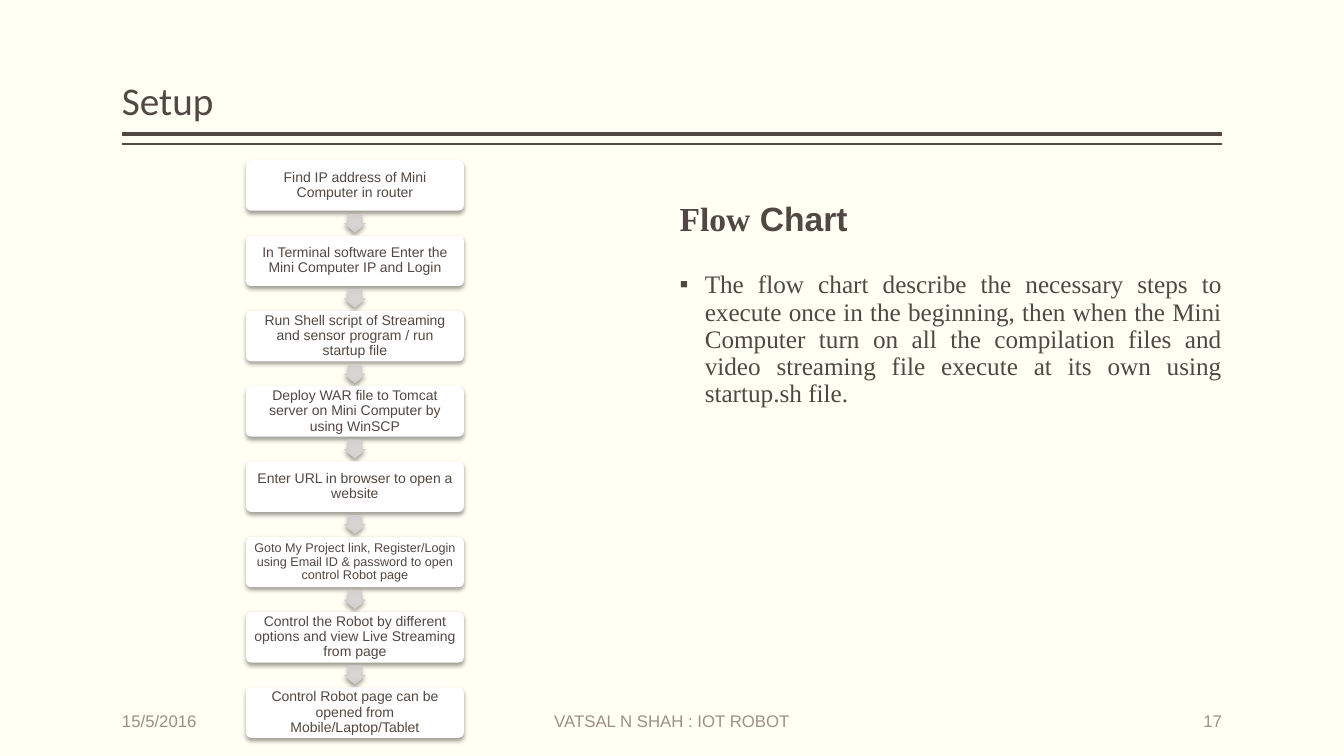
from lxml import etree
from pptx import Presentation
from pptx.dml.color import RGBColor
from pptx.enum.shapes import MSO_CONNECTOR, MSO_SHAPE
from pptx.enum.text import MSO_ANCHOR, PP_ALIGN
from pptx.oxml.ns import qn
from pptx.util import Inches, Pt

ROUNDED, ARROW = MSO_SHAPE.ROUNDED_RECTANGLE, MSO_SHAPE.RIGHT_ARROW
STRAIGHT = MSO_CONNECTOR.STRAIGHT
TOP, MIDDLE, BOTTOM = MSO_ANCHOR.TOP, MSO_ANCHOR.MIDDLE, MSO_ANCHOR.BOTTOM
LEFT, CENTER, RIGHT, JUSTIFY = PP_ALIGN.LEFT, PP_ALIGN.CENTER, PP_ALIGN.RIGHT, PP_ALIGN.JUSTIFY

W, H = 13.33, 7.5
MARGIN = 1.21
CONTENT_W = W - 2 * MARGIN
INK, MUTED, PAPER, WHITE = "514843", "9D8F88", "FFFFF3", "FFFFFF"
ARROW_STOPS = ("D8D6D5", "D1CECC")

STEPS = [
    ("Find IP address of Mini Computer in router", 10),
    ("In Terminal software Enter the Mini Computer IP and Login", 10),
    ("Run Shell script of Streaming and sensor program / run startup file", 10),
    ("Deploy WAR file to Tomcat server on Mini Computer by using WinSCP", 10),
    ("Enter URL in browser to open a website", 10),
    ("Goto My Project link, Register/Login using Email ID & password to open control Robot page", 9),
    ("Control the Robot by different options and view Live Streaming from page", 10),
    ("Control Robot page can be opened from Mobile/Laptop/Tablet", 10),
]
DESCRIPTION = (
    "The flow chart describe the necessary steps to execute once in the beginning, "
    "then when the Mini Computer turn on all the compilation files and video streaming "
    "file execute at its own using startup.sh file."
)


def color(value):
    return RGBColor.from_string(value)


def style_run(r, size, font="Arial", ink=INK, bold=False):
    r.font.size, r.font.name, r.font.bold = Pt(size), font, bold
    r.font.color.rgb = color(ink)


def set_frame(tf, anchor, side, edge):
    tf.word_wrap, tf.vertical_anchor = True, anchor
    tf.margin_left = tf.margin_right = Inches(side)
    tf.margin_top = tf.margin_bottom = Inches(edge)


def add_text(s, box, text, size, font="Arial", ink=INK, anchor=MIDDLE, align=LEFT, spacing=1.0):
    tf = s.shapes.add_textbox(*map(Inches, box)).text_frame
    set_frame(tf, anchor, 0, 0.05)
    p = tf.paragraphs[0]
    p.text, p.alignment, p.line_spacing = text, align, spacing
    style_run(p.runs[0], size, font, ink)
    return p


def add_shadowed(s, kind, box):
    sp = s.shapes.add_shape(kind, *map(Inches, box))
    sp.line.fill.background()
    sp.shadow.inherit = False
    effects = sp._element.spPr.find(qn("a:effectLst"))
    shadow = etree.SubElement(effects, qn("a:outerShdw"), blurRad=str(Pt(3.5)),
                              dist=str(Pt(2)), dir="5400000", rotWithShape="0")
    tint = etree.SubElement(shadow, qn("a:srgbClr"), val="000000")
    etree.SubElement(tint, qn("a:alpha"), val="38000")
    return sp


def add_step(s, box, text, size):
    sp = add_shadowed(s, ROUNDED, box)
    sp.adjustments[0] = 0.1
    sp.fill.solid()
    sp.fill.fore_color.rgb = color(WHITE)
    tf = sp.text_frame
    set_frame(tf, MIDDLE, 0.06, 0.03)
    p = tf.paragraphs[0]
    p.text, p.alignment, p.line_spacing = text, CENTER, 0.9
    style_run(p.runs[0], size)


def add_step_arrow(s, box):
    sp = add_shadowed(s, ARROW, box)
    sp.rotation = 90
    sp.adjustments[0], sp.adjustments[1] = 0.6, 0.5
    sp.fill.gradient()
    for stop, value in zip(sp.fill.gradient_stops, ARROW_STOPS):
        stop.color.rgb = color(value)
    gradient = sp._element.spPr.find(qn("a:gradFill"))
    gradient.remove(gradient.find(qn("a:lin")))
    center = etree.SubElement(gradient, qn("a:path"), path="rect")
    etree.SubElement(center, qn("a:fillToRect"), l="50000", t="50000", r="50000", b="50000")


def add_flow_chart(s, box):
    x, y, w, h = box
    step_h, arrow_w, arrow_h = 0.5, 0.19, 0.22
    pitch = (h - step_h) / (len(STEPS) - 1)
    for i, (text, size) in enumerate(STEPS):
        top = y + i * pitch
        add_step(s, (x, top, w, step_h), text, size)
        if i < len(STEPS) - 1:
            gap_mid = top + (step_h + pitch) / 2
            add_step_arrow(s, (x + (w - arrow_w) / 2, gap_mid - arrow_h / 2, arrow_w, arrow_h))


def add_header(s, box):
    x, y, w, h = box
    add_text(s, box, "Setup", 28, "Calibri", anchor=BOTTOM, spacing=0.9)
    for offset, weight in ((0.05, 3), (0.15, 1)):
        line_y = Inches(y + h + offset)
        rule = s.shapes.add_connector(STRAIGHT, Inches(x), line_y, Inches(x + w), line_y)
        rule.line.color.rgb, rule.line.width = color(INK), Pt(weight)
        etree.SubElement(rule._element.spPr, qn("a:effectLst"))


def add_description(s, box):
    x, y, w, h = box
    head_h, body_top = 0.9, 1.13
    p = add_text(s, (x, y, w, head_h), "Flow", 24, "Times New Roman", anchor=BOTTOM, spacing=0.9)
    p.runs[0].font.bold = True
    r = p.add_run()
    r.text = " Chart"
    style_run(r, 24, bold=True)

    p = add_text(s, (x, y + body_top, w, h - body_top), DESCRIPTION, 18, "Times New Roman",
                 anchor=TOP, align=JUSTIFY, spacing=0.9)
    pPr = p._p.get_or_add_pPr()
    pPr.set("marL", str(Inches(0.25)))
    pPr.set("indent", str(Inches(-0.25)))
    etree.SubElement(pPr, qn("a:buFont"), typeface="Arial")
    etree.SubElement(pPr, qn("a:buChar"), char="▪")


def add_footer(s, box):
    x, y, w, h = box
    side = 2
    parts = (
        (x, side, "15/5/2016", LEFT),
        (x + side, w - 2 * side, "VATSAL N SHAH : IOT ROBOT", CENTER),
        (x + w - side, side, "17", RIGHT),
    )
    for left, width, text, align in parts:
        add_text(s, (left, y, width, h), text, 12, ink=MUTED, align=align)


def main():
    prs = Presentation()
    prs.slide_width, prs.slide_height = Inches(W), Inches(H)
    s = prs.slides.add_slide(prs.slide_layouts[6])
    s.background.fill.solid()
    s.background.fill.fore_color.rgb = color(PAPER)
    add_header(s, (MARGIN, 0.08, CONTENT_W, 1.2))
    add_description(s, (6.74, 1.52, 5.38, 5.23))
    add_flow_chart(s, (2.44, 1.59, 2.16, 5.73))
    add_footer(s, (MARGIN, 6.95, CONTENT_W, 0.4))
    prs.save("out.pptx")


if __name__ == "__main__":
    main()
